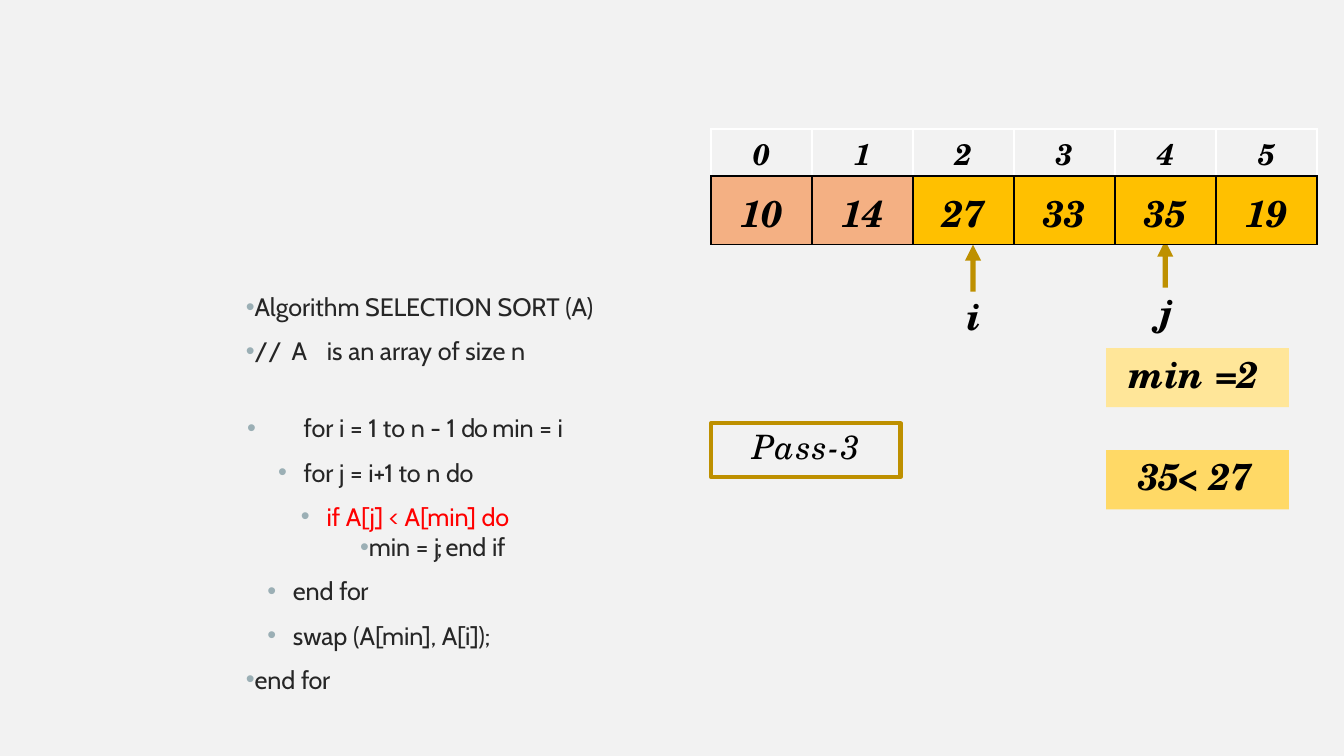
"""Build a slide that shows pass 3 of selection sort beside its algorithm."""
from lxml import etree
from pptx import Presentation
from pptx.dml.color import RGBColor
from pptx.enum.shapes import MSO_SHAPE
from pptx.enum.text import MSO_ANCHOR, PP_ALIGN
from pptx.oxml.ns import qn
from pptx.util import Inches, Pt

RECTANGLE = MSO_SHAPE.RECTANGLE
TOP = MSO_ANCHOR.TOP
LEFT, CENTER = PP_ALIGN.LEFT, PP_ALIGN.CENTER
WIDTH = Inches(10)
HEIGHT = WIDTH * 9 // 16
COLUMN = WIDTH // 100
COLORS = {
    "page": "F2F2F2", "code": "262626", "active": "FF0000", "bullet": "9BAFB5",
    "black": "000000", "gold": "BE9000", "sorted": "F4B083", "unsorted": "FFC000",
    "minimum": "FFE699", "compare": "FFD966",
}
CODE = {"font": "Cabin", "size": 13.5, "color": "code"}
MATH = {"font": "TeX Gyre Schola", "size": 20, "bold": True, "italic": True}
ALGORITHM = [
    (0.1, -1.9, 1, [("Algorithm SELECTION SORT ", 0), ("(A)", -0.2)]),
    (0.1, -1.9, 7.5, [("// ", 1.1), ("A ", 3.8), ("is an array of size ", 0), ("n", -0.5)]),
    (4.3, -4.2, 25, [("for i = 1 to n - 1 ", 0), ("do ", -0.6), ("min = ", 0), ("i", -0.5)]),
    (4.3, -1.9, 7.5, [("for j = ", 0), ("i+1 ", -0.1), ("to n ", 0), ("do", -0.2)]),
    (6, -1.9, 7.5, [("if A[j] < A[min] ", 0), ("do", -0.2)]),
    (6, 2.5, 0.1, [("min = ", 0), ("j; ", -1.3), ("end ", 0), ("if", -0.2)]),
    (3.5, -1.9, 7.5, [("end ", 0), ("for", -0.2)]),
    (3.5, -1.9, 7.5, [("swap (A[min], ", 0), ("A[i]);", -0.1)]),
    (0.1, -1.9, 7.5, [("end ", 0), ("for", -0.2)]),
]
ACTIVE_STEP = 4
VALUES = [10, 14, 27, 33, 35, 19]
SORTED_COUNT = 2


def rgb(name):
    """Return a named colour."""
    return RGBColor.from_string(COLORS[name])


def grid(*lengths):
    """Turn lengths in grid columns into slide lengths."""
    return [round(length * COLUMN) for length in lengths]


def write(para, spans, font, size, color="black", bold=False, italic=False,
          align=LEFT, before=0, margin=0, indent=0, bullet=False):
    """Write (text, letter spacing) spans into a formatted paragraph."""
    properties = para._p.get_or_add_pPr()
    for key, length in zip(("marL", "indent"), grid(margin, indent)):
        properties.set(key, str(length))
    if bullet:
        tint = etree.SubElement(properties, qn("a:buClr"))
        etree.SubElement(tint, qn("a:srgbClr"), val=COLORS["bullet"])
        etree.SubElement(properties, qn("a:buFont"), typeface="Arial")
        etree.SubElement(properties, qn("a:buChar"), char="•")
    para.alignment = align
    para.space_before = Pt(before)
    para.font.size = Pt(size)
    for text, spacing in spans:
        span = para.add_run()
        span.text = text
        span.font.name, span.font.size = font, Pt(size)
        span.font.bold, span.font.italic = bold, italic
        span.font.color.rgb = rgb(color)
        span._r.get_or_add_rPr().set("spc", str(round(spacing * 100)))


def set_frame(frame, inset):
    """Give a text frame a top inset only."""
    frame.word_wrap = True
    frame.vertical_anchor = TOP
    frame.margin_left = frame.margin_right = frame.margin_bottom = 0
    frame.margin_top = Inches(inset)


def add_algorithm(page):
    """Add the bulleted pseudocode."""
    frame = page.shapes.add_textbox(*grid(18.3, 21.6, 63.4, 25.4)).text_frame
    set_frame(frame, 0.01)
    for step, (margin, indent, before, spans) in enumerate(ALGORITHM):
        para = frame.add_paragraph() if step else frame.paragraphs[0]
        style = CODE | {"color": "active" if step == ACTIVE_STEP else "code"}
        write(para, spans, margin=margin, indent=indent, before=before, bullet=True, **style)


def add_box(page, place, spans, margin, before, fill=None, line=None, **style):
    """Add a rectangle with one line of text."""
    box = page.shapes.add_shape(RECTANGLE, *grid(*place))
    box.shadow.inherit = False
    if fill:
        box.fill.solid()
        box.fill.fore_color.rgb = rgb(fill)
    else:
        box.fill.background()
    if line:
        box.line.color.rgb = rgb(line)
        box.line.width = Pt(2.25)
    else:
        box.line.fill.background()
    set_frame(box.text_frame, 0.02)
    write(box.text_frame.paragraphs[0], spans, margin=margin, before=before, **(MATH | style))


def add_pointer(page, name, left, top):
    """Add an upward block arrow with its index name below."""
    outline = [(0.6, 0), (1.2, 1.2), (0.8, 1.2), (0.8, 3.5), (0.4, 3.5), (0.4, 1.2), (0, 1.2)]
    points = [grid(left + x, top + y) for x, y in outline]
    builder = page.shapes.build_freeform(*points[0])
    builder.add_line_segments(points[1:], close=True)
    arrow = builder.convert_to_shape()
    arrow.shadow.inherit = False
    arrow.fill.solid()
    arrow.fill.fore_color.rgb = rgb("gold")
    arrow.line.fill.background()
    label = page.shapes.add_textbox(*grid(left, top + 3.5, 1.3, 3.6)).text_frame
    set_frame(label, 0.01)
    write(label.paragraphs[0], [(name, -0.5)], margin=0.1, before=1, **MATH)


def add_border(cell, sides):
    """Draw thin black borders on the given sides of a cell."""
    properties = cell._tc.get_or_add_tcPr()
    for place, side in enumerate(sides):
        line = etree.Element(qn(f"a:ln{side}"), w=str(Pt(1)))
        fill = etree.SubElement(line, qn("a:solidFill"))
        etree.SubElement(fill, qn("a:srgbClr"), val=COLORS["black"])
        properties.insert(place, line)


def fill_cell(cell, text, size, spacing, inset, before):
    """Write a centred number into a cell."""
    cell.margin_left = cell.margin_right = cell.margin_bottom = 0
    cell.margin_top = Inches(inset)
    cell.vertical_anchor = TOP
    write(cell.text_frame.paragraphs[0], [(str(text), spacing)], align=CENTER,
          before=before, **(MATH | {"size": size}))


def add_array(page):
    """Add the array as a row of indexes above a row of values."""
    frame = page.shapes.add_table(2, len(VALUES), *grid(52.9, 9.6, 45.1, 8.6))
    table = frame.table
    table.first_row = table.horz_banding = False
    for row, height in zip(table.rows, grid(3.5, 5.1)):
        row.height = height
    for index, value in enumerate(VALUES):
        heading, cell = table.cell(0, index), table.cell(1, index)
        fill_cell(heading, index, 16, -0.5, 0.01, 0.5)
        heading.fill.background()
        add_border(heading, "B")
        fill_cell(cell, value, 20, -0.2, 0.06, 4)
        cell.fill.solid()
        cell.fill.fore_color.rgb = rgb("sorted" if index < SORTED_COUNT else "unsorted")
        add_border(cell, "LRTB")


def main():
    """Build and save the deck."""
    deck = Presentation()
    deck.slide_width, deck.slide_height = WIDTH, HEIGHT
    page = deck.slides.add_slide(deck.slide_layouts[6])
    page.background.fill.solid()
    page.background.fill.fore_color.rgb = rgb("page")
    add_algorithm(page)
    add_pointer(page, "i", 71.8, 18.2)
    add_pointer(page, "j", 86.1, 17.9)
    add_box(page, (82.3, 25.9, 13.6, 4.4), [("min ", 0), ("=2", -0.2)], 1.7, 1.4, fill="minimum")
    add_array(page)
    add_box(page, (52.9, 31.5, 14.1, 4), [("Pass-", 0.8), ("3", -0.5)], 3.1, 1.6,
            line="gold", size=18, bold=False)
    add_box(page, (82.3, 33.5, 13.6, 4.4), [("35< ", -0.9), ("27", -0.2)], 2.4, 1.4, fill="compare")
    deck.save("out.pptx")


if __name__ == "__main__":
    main()
